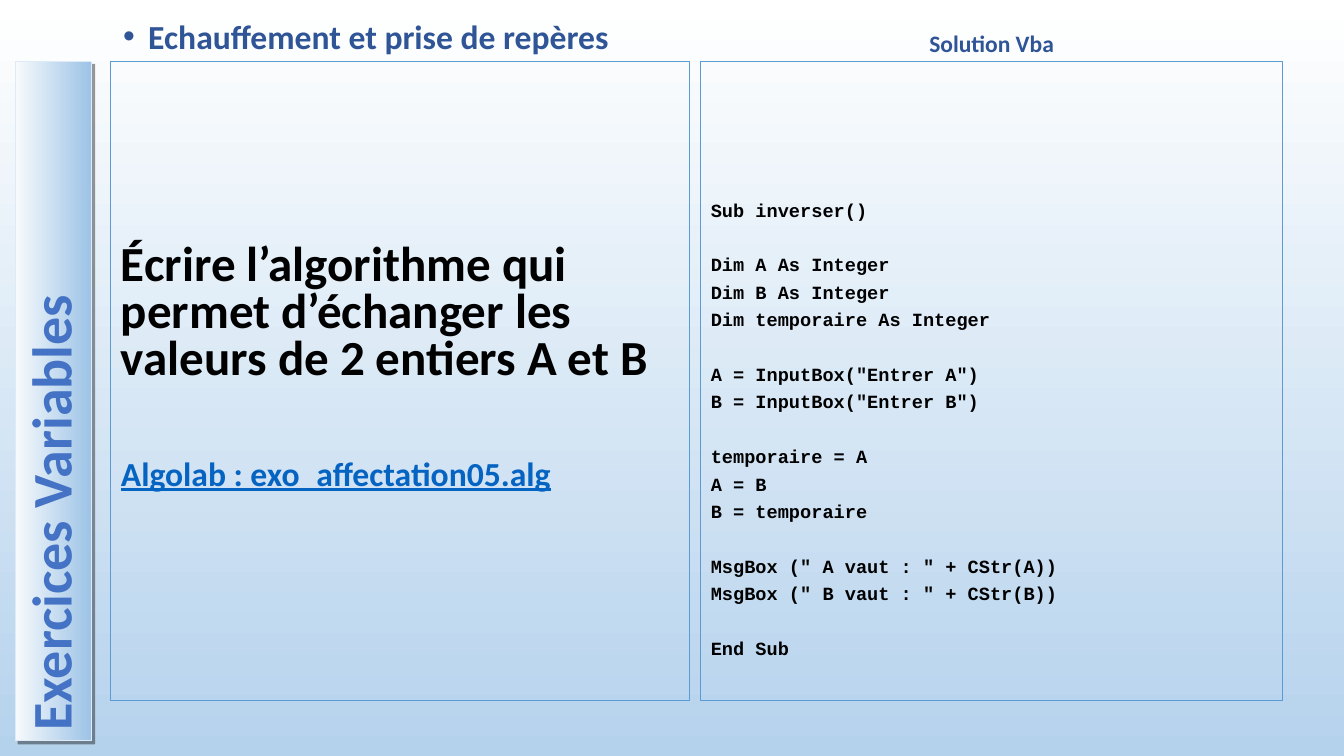
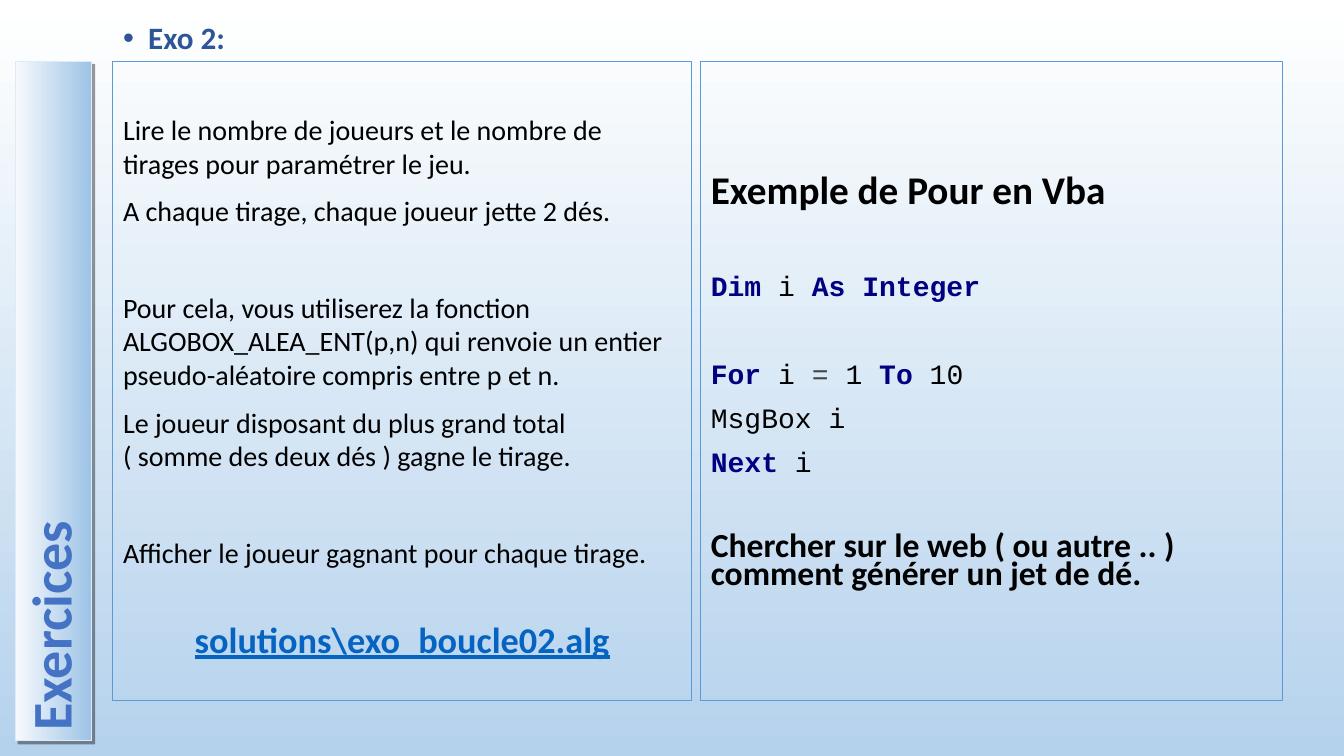
from dataclasses import dataclass

import lxml.etree
import pptx
import pptx.dml.color
import pptx.dml.fill
import pptx.enum.text
import pptx.oxml
import pptx.oxml.ns
import pptx.shapes.placeholder
import pptx.slide
import pptx.text.text
import pptx.util

Inches = pptx.util.Inches
Pt = pptx.util.Pt
ALIGN = pptx.enum.text.PP_ALIGN
ANCHOR = pptx.enum.text.MSO_ANCHOR
qn = pptx.oxml.ns.qn

SANS, MONO = "Calibri", "Courier New"
BLACK, NAVY, GREY = "000000", "000080", "424242"
HEADING, TITLE, LINK = "2F5597", "4472C4", "0563C1"
BORDER, BAND_BORDER = "5B9BD5", "DEEBF7"
BACKGROUND = ("FFFFFF", "B5D2EC")
BAND = ("F7FAFD", "9DC3E6")

COLUMN_TOP, COLUMN_HEIGHT = 0.61, 6.34
HEADER_TOP, HEADER_HEIGHT = 0.1, 0.51
LEFT_X, LEFT_WIDTH = 1.12, 5.74
RIGHT_X, RIGHT_WIDTH = 6.95, 5.77
MARGIN = 0.05
COMPARISON_LAYOUT = 4


@dataclass(frozen=True)
class Run:
    text: str
    size: float
    color: str = BLACK
    bold: bool = False
    font: str = SANS
    underline: bool = False


@dataclass(frozen=True)
class Para:
    runs: tuple[Run, ...]
    spacing: float = 0.9
    before: float = 10
    align: ALIGN = ALIGN.LEFT
    bullet: bool = False


@dataclass(frozen=True)
class Box:
    x: float
    y: float
    width: float
    height: float
    anchor: ANCHOR = ANCHOR.MIDDLE
    top: float = MARGIN
    bottom: float = MARGIN
    border: str | None = None


@dataclass(frozen=True)
class Exercise:
    title: str
    left_header: Para
    right_header: Para | None
    left_box: Box
    left: list[Para]
    right_box: Box
    right: list[Para]


def rgb(color: str) -> pptx.dml.color.RGBColor:
    return pptx.dml.color.RGBColor.from_string(color)


def fill_down(fill: pptx.dml.fill.FillFormat, colors: tuple[str, str]) -> None:
    """Fill with a gradient running from top to bottom."""
    fill.gradient()
    fill.gradient_angle = 270
    for stop, color in zip(fill.gradient_stops, colors):
        stop.color.rgb = rgb(color)


def add_shadow(sp: pptx.shapes.placeholder.SlidePlaceholder) -> None:
    sp.shadow.inherit = False
    effects = sp._element.spPr.find(qn("a:effectLst"))
    shadow = lxml.etree.SubElement(
        effects, qn("a:outerShdw"), dist=str(Pt(3)), dir="2700000",
        algn="ctr", rotWithShape="0")
    color = lxml.etree.SubElement(shadow, qn("a:srgbClr"), val=BLACK)
    lxml.etree.SubElement(color, qn("a:alpha"), val="40000")


def add_run(p: pptx.text.text._Paragraph, run: Run) -> None:
    for i, line in enumerate(run.text.split("\n")):
        if i:
            p.add_line_break()
        r = p.add_run()
        r.text = line
        r.font.name = run.font
        r.font.size = Pt(run.size)
        r.font.bold = run.bold
        r.font.underline = run.underline
        r.font.color.rgb = rgb(run.color)


def write(sp: pptx.shapes.placeholder.SlidePlaceholder, box: Box,
          paras: list[Para]) -> None:
    """Place a placeholder and give it its paragraphs."""
    sp.left, sp.top = Inches(box.x), Inches(box.y)
    sp.width, sp.height = Inches(box.width), Inches(box.height)
    if box.border:
        sp.line.color.rgb = rgb(box.border)
        sp.line.width = Pt(0.75)
    tf = sp.text_frame
    tf.word_wrap = True
    tf.auto_size = pptx.enum.text.MSO_AUTO_SIZE.NONE
    tf.vertical_anchor = box.anchor
    tf.margin_left = tf.margin_right = Inches(0.1)
    tf.margin_top, tf.margin_bottom = Inches(box.top), Inches(box.bottom)
    for i, para in enumerate(paras):
        p = tf.add_paragraph() if i else tf.paragraphs[0]
        p.alignment = para.align
        p.line_spacing = para.spacing
        p.space_before = Pt(para.before if i else 0)
        p.space_after = Pt(0)
        pPr = p._p.get_or_add_pPr()
        indent = Inches(0.25) if para.bullet else 0
        pPr.set("marL", str(indent))
        pPr.set("indent", str(-indent))
        if para.bullet:
            lxml.etree.SubElement(pPr, qn("a:buChar"), char="•")
        else:
            lxml.etree.SubElement(pPr, qn("a:buNone"))
        for run in para.runs:
            add_run(p, run)


def add_exercise(prs: pptx.presentation.Presentation, exercise: Exercise) -> None:
    s = prs.slides.add_slide(prs.slide_layouts[COMPARISON_LAYOUT])
    title, left_header, left, right_header, right = (
        s.placeholders[idx] for idx in range(5))

    write(title, Box(-2.84, 3.6, 6.74, 0.76, border=BAND_BORDER),
          [Para((Run(exercise.title, 40, TITLE, True),))])
    title.rotation = 270
    fill_down(title.fill, BAND)
    add_shadow(title)

    write(left_header, Box(LEFT_X, HEADER_TOP, LEFT_WIDTH, HEADER_HEIGHT,
                           ANCHOR.BOTTOM), [exercise.left_header])
    write(left, exercise.left_box, exercise.left)
    if exercise.right_header:
        write(right_header, Box(RIGHT_X, HEADER_TOP, RIGHT_WIDTH, HEADER_HEIGHT,
                                ANCHOR.BOTTOM), [exercise.right_header])
    else:
        right_header._element.getparent().remove(right_header._element)
    write(right, exercise.right_box, exercise.right)


def column(x: float, width: float, top: float = MARGIN,
           bottom: float = MARGIN) -> Box:
    return Box(x, COLUMN_TOP, width, COLUMN_HEIGHT, top=top, bottom=bottom,
               border=BORDER)


def heading(text: str, size: float) -> Para:
    return Para((Run(text, size, HEADING, True),), bullet=True)


def listing(blocks: list[list[str]]) -> list[Para]:
    """Turn blocks of code into paragraphs, with a wider gap between blocks."""
    return [Para((Run(line, 13.3, bold=True, font=MONO),), 0.6,
                 10 if i else 29.6)
            for block in blocks for i, line in enumerate(block)]


def rule(text: str, before: float = 10) -> Para:
    return Para((Run(text, 20),), 1.0, before)


def code(*parts: str, before: float = 10) -> Para:
    """Build a code line whose keywords and operators have their own colour."""
    keywords = {"Dim", "As Integer", "For", "To", "Next"}
    return Para(tuple(
        Run(part, 20, NAVY if part in keywords else GREY if part == "=" else BLACK,
            part in keywords, MONO) for part in parts), before=before)


SWAP_CODE = [
    ["Sub inverser()"],
    ["Dim A As Integer", "Dim B As Integer", "Dim temporaire As Integer"],
    ['A = InputBox("Entrer A")', 'B = InputBox("Entrer B")'],
    ["temporaire = A", "A = B", "B = temporaire"],
    ['MsgBox (" A vaut : " + CStr(A))', 'MsgBox (" B vaut : " + CStr(B))'],
    ["End Sub"],
]

EXERCISES = [
    Exercise(
        "Exercices Variables",
        heading("Echauffement et prise de repères", 24),
        Para((Run("Solution Vba", 16.8, HEADING, True),), 0.7, align=ALIGN.CENTER),
        column(1.1, LEFT_WIDTH, bottom=0.3),
        [
            Para((Run("Écrire l’algorithme qui permet d’échanger les valeurs "
                      "de 2 entiers A et B", 35, bold=True),), 0.8),
            Para((Run("Algolab : exo_affectation05.alg", 24, LINK, True,
                      underline=True),), 0.8, 54),
        ],
        column(RIGHT_X, RIGHT_WIDTH, top=1.07),
        listing(SWAP_CODE),
    ),
    Exercise(
        "Exercices",
        heading("Exo 2:", 22.2),
        None,
        column(LEFT_X, LEFT_WIDTH, top=0.15),
        [
            rule("Lire le nombre de joueurs et le nombre de tirages pour "
                 "paramétrer le jeu."),
            rule("A chaque tirage, chaque joueur jette 2 dés."),
            rule("Pour cela, vous utiliserez la fonction ALGOBOX_ALEA_ENT(p,n) "
                 "qui renvoie un entier pseudo-aléatoire compris entre p et n.", 45),
            rule("Le joueur disposant du plus grand total\n"
                 "( somme des deux dés ) gagne le tirage."),
            rule("Afficher le joueur gagnant pour chaque tirage.", 45),
            Para((Run("solutions\\exo_boucle02.alg", 25.9, LINK, True,
                      underline=True),), 0.7, 43, ALIGN.CENTER),
        ],
        column(RIGHT_X, RIGHT_WIDTH),
        [
            Para((Run("Exemple de Pour en Vba", 28, bold=True),)),
            code("Dim", " i ", "As Integer", before=42),
            code("For", " i ", "=", " 1 ", "To", " 10", before=41),
            code("MsgBox i"),
            code("Next", " i"),
            Para((Run("Chercher sur le web ( ou autre .. ) comment générer "
                      "un jet de dé.", 24, bold=True),), 0.7, 40),
        ],
    ),
]


def main() -> None:
    prs = pptx.Presentation()
    prs.slide_width, prs.slide_height = Inches(13.33), Inches(7.5)
    fill_down(prs.slide_master.background.fill, BACKGROUND)
    for exercise in EXERCISES:
        add_exercise(prs, exercise)
    prs.save("out.pptx")


if __name__ == "__main__":
    main()
